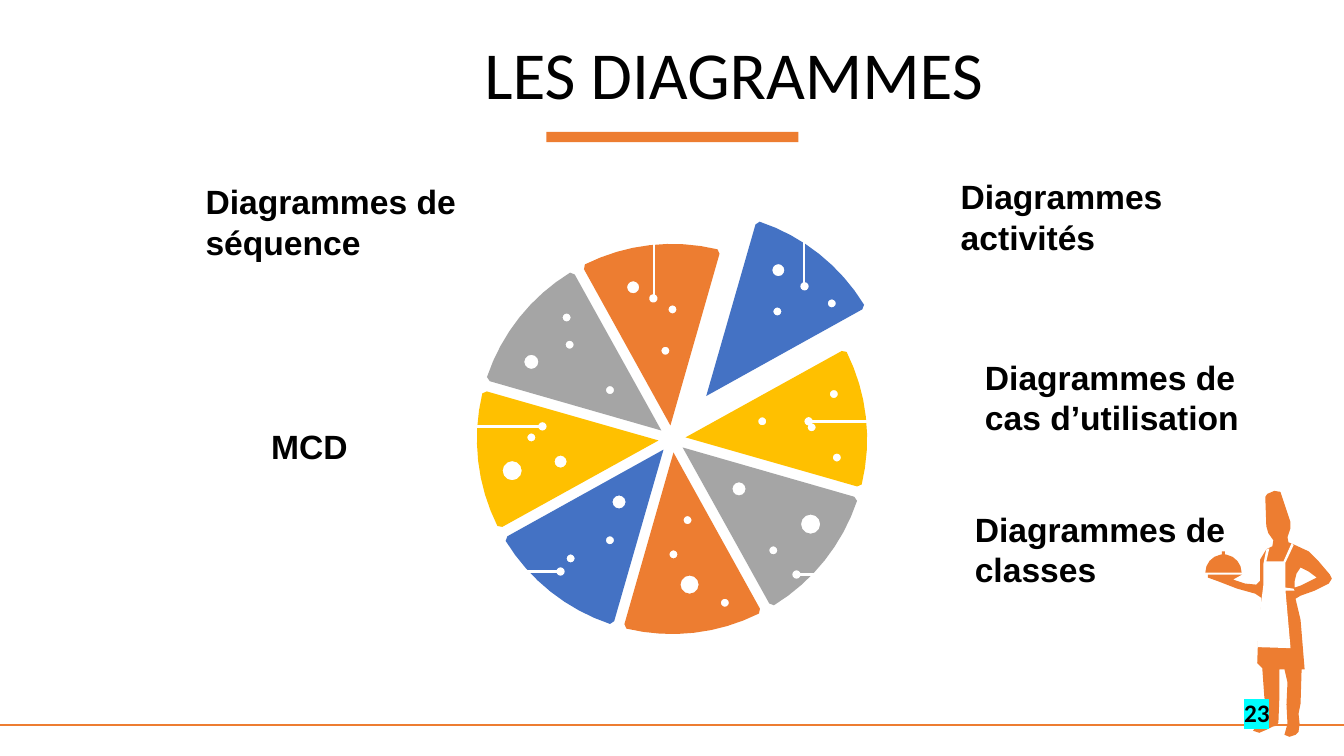
import math

import lxml.etree
import pptx
import pptx.dml.color
import pptx.enum.shapes
import pptx.enum.text
import pptx.oxml.ns
import pptx.util

Inches = pptx.util.Inches
Pt = pptx.util.Pt
Link = pptx.enum.shapes.MSO_CONNECTOR
qn = pptx.oxml.ns.qn

HUES = {"orange": "ED7D31", "blue": "4472C4", "gold": "FFC000", "gray": "A5A5A5",
        "white": "FFFFFF", "black": "000000", "cyan": "00FFFF"}

# Pie: centre, radius, distance of each tip from the centre
MID_X, MID_Y, RADIUS, GAP = 6.665, 4.355, 1.935, 0.135
TOP_ANGLE, STEP = 96.5, 45
CYCLE = ["orange", "blue", "gold", "gray"]
PULLED, PULL = 1, 0.41

# Holes of each slice, clockwise from the top: centre and diameter
HOLES = [
    [(6.67, 3.07, 0.08), (6.6, 3.48, 0.08), (6.28, 2.85, 0.12)],
    [(7.71, 3.09, 0.08), (8.25, 3.01, 0.08), (7.72, 2.68, 0.12)],
    [(7.56, 4.18, 0.08), (8.05, 4.24, 0.08), (8.27, 3.91, 0.08), (8.3, 4.54, 0.08)],
    [(7.33, 4.85, 0.13), (7.67, 5.46, 0.08), (8.04, 5.2, 0.19)],
    [(6.82, 5.16, 0.08), (6.68, 5.5, 0.08), (6.84, 5.8, 0.18), (7.19, 5.98, 0.08)],
    [(5.66, 5.54, 0.08), (6.05, 5.36, 0.08), (6.14, 4.98, 0.13)],
    [(5.56, 4.58, 0.12), (5.27, 4.34, 0.08), (5.08, 4.67, 0.19)],
    [(6.05, 3.87, 0.08), (5.65, 3.42, 0.08), (5.62, 3.15, 0.08), (5.27, 3.59, 0.14)],
]

# Start, end, bend position
LEADS = [
    ((5.18, 2.17), (6.48, 2.96), 1.007),
    ((9.28, 2.05), (7.98, 2.84), 1.002),
    ((3.73, 3.99), (5.38, 4.23), 0.5),
    ((5.56, 5.67), (3.91, 5.9), 0.5),
    ((9.67, 3.95), (8.02, 4.18), 0.5),
    ((9.55, 5.47), (7.9, 5.7), 0.5),
]

LABELS = [
    ("Diagrammes activités", 9.43, 1.7, 2.59, 0.91),
    ("Diagrammes de cas d’utilisation", 9.67, 3.49, 3.25, 0.91),
    ("Diagrammes de classes", 9.57, 5, 3.25, 0.91),
    ("Diagrammes de séquence", 1.94, 1.75, 3.25, 0.91),
    ("MCD", 2.59, 4.18, 1.46, 0.5),
]

BODY = [
    (11.98, 5.7), (12.32, 5.7), (12.23, 5.75), (12.35, 5.79), (12.46, 5.8),
    (12.5, 5.76), (12.5, 5.55), (12.56, 5.45), (12.62, 5.42), (12.63, 5.36),
    (12.58, 5.29), (12.56, 5.22), (12.55, 4.93), (12.57, 4.9),
    (12.64, 4.87), (12.7, 4.88), (12.73, 4.97), (12.76, 5.06), (12.8, 5.18),
    (12.8, 5.24), (12.77, 5.33), (12.78, 5.38), (12.85, 5.41), (12.98, 5.47),
    (13.08, 5.57), (13.19, 5.7), (13.21, 5.74), (13.18, 5.79), (13.04, 5.86),
    (12.9, 5.91), (12.85, 5.94), (12.9, 6.15), (12.94, 6.64),
    (12.91, 6.64), (12.9, 6.98), (12.88, 7.08), (12.89, 7.18), (12.88, 7.26),
    (12.85, 7.29), (12.79, 7.31), (12.74, 7.29), (12.77, 7.18), (12.76, 6.99),
    (12.77, 6.77), (12.74, 6.64), (12.69, 6.64), (12.69, 6.91),
    (12.68, 7.17), (12.66, 7.2), (12.62, 7.21), (12.56, 7.24),
    (12.49, 7.27), (12.43, 7.25), (12.46, 7.2), (12.54, 7.13), (12.56, 7.05),
    (12.54, 6.91), (12.52, 6.63), (12.47, 6.58), (12.48, 6.3), (12.51, 6),
    (12.51, 5.93), (12.45, 5.89), (12.27, 5.84), (12.09, 5.77), (11.98, 5.73),
]
ELBOW = [(12.84, 5.83), (12.9, 5.81), (13.06, 5.73), (12.98, 5.67), (12.9, 5.63),
         (12.86, 5.69), (12.84, 5.77)]
APRON = [(12.81, 5.39), (12.73, 5.57), (12.56, 5.57), (12.59, 5.44), (12.56, 5.45),
         (12.53, 5.6), (12.53, 5.81), (12.48, 6.2), (12.47, 6.42), (12.8, 6.43),
         (12.75, 5.86), (12.84, 5.86), (12.83, 5.84), (12.75, 5.83), (12.75, 5.58),
         (12.83, 5.41)]
KNOB = [(12.15, 5.5), (12.15, 5.47), (12.12, 5.47), (12.12, 5.5)]


def rgb(name):
    return pptx.dml.color.RGBColor.from_string(HUES[name])


def paint(shape, hue):
    shape.shadow.inherit = False
    shape.fill.solid()
    shape.fill.fore_color.rgb = rgb(hue)
    shape.line.fill.background()


def outline(slide, points, hue, holes=()):
    """Draw a filled outline, with holes cut out of it."""
    pen = slide.shapes.build_freeform(*map(Inches, points[0]))
    for ring in (points, *holes):
        first, *rest = [(Inches(x), Inches(y)) for x, y in ring]
        if ring is not points:
            pen.move_to(*first)
        pen.add_line_segments(rest, close=True)
    paint(pen.convert_to_shape(), hue)


def polar(x, y, reach, angle):
    turn = math.radians(angle)
    return x + reach * math.cos(turn), y - reach * math.sin(turn)


def ring(x, y, size):
    return [polar(x, y, size / 2, 30 * n) for n in range(12)]


def wedge(slide, index, holes):
    """Draw one slice, clockwise from the top, with softened corners."""
    angle = TOP_ANGLE - STEP * index
    x, y = polar(MID_X, MID_Y, PULL if index == PULLED else 0, angle)
    arc = [polar(x, y, RADIUS, angle + 20 - 5 * n) for n in range(9)]
    sides = [polar(x, y, RADIUS * 0.98, angle + turn) for turn in (20.9, -20.9)]
    points = [polar(x, y, GAP, angle), sides[0], *arc, sides[1]]
    outline(slide, points, CYCLE[index % len(CYCLE)], [ring(*hole) for hole in holes])


def line(slide, kind, start, end, hue, width):
    link = slide.shapes.add_connector(kind, *map(Inches, start + end))
    link.line.color.rgb = rgb(hue)
    link.line.width = Pt(width)
    lxml.etree.SubElement(link._element.spPr, qn("a:effectLst"))
    return link


def lead(slide, start, end, bend):
    """Draw an elbow line with round ends."""
    link = line(slide, Link.ELBOW, start, end, "white", 1.75)
    geom = link._element.spPr.find(qn("a:prstGeom"))
    guides = geom.find(qn("a:avLst"))
    if guides is None:
        guides = lxml.etree.SubElement(geom, qn("a:avLst"))
    lxml.etree.SubElement(guides, qn("a:gd"), name="adj1",
                          fmla=f"val {round(bend * 100000)}")
    stroke = link.line._get_or_add_ln()
    for tag in ("a:headEnd", "a:tailEnd"):
        lxml.etree.SubElement(stroke, qn(tag), type="oval")


def text(slide, words, box, form, align="LEFT", anchor="TOP"):
    frame = slide.shapes.add_textbox(*map(Inches, box)).text_frame
    frame.word_wrap = True
    frame.vertical_anchor = getattr(pptx.enum.text.MSO_ANCHOR, anchor)
    para = frame.paragraphs[0]
    para.alignment = getattr(pptx.enum.text.PP_ALIGN, align)
    run = para.add_run()
    run.text = words
    for key, value in form.items():
        setattr(run.font, key, value)
    run.font.color.rgb = rgb("black")
    return run


def mark(run, hue):
    """Highlight a run of text."""
    light = lxml.etree.Element(qn("a:highlight"))
    lxml.etree.SubElement(light, qn("a:srgbClr"), val=HUES[hue])
    run.font._element.find(qn("a:solidFill")).addnext(light)


def chef(slide):
    outline(slide, BODY, "orange", [ELBOW])
    outline(slide, APRON, "white")
    dome = [polar(12.135, 5.68, 0.18, 20 * n) for n in range(10)]
    outline(slide, dome[:5] + KNOB + dome[5:], "orange")


def main():
    deck = pptx.Presentation()
    deck.slide_width, deck.slide_height = Inches(13.33), Inches(7.5)
    slide = deck.slides.add_slide(deck.slide_layouts[6])

    bar = slide.shapes.add_shape(pptx.enum.shapes.MSO_SHAPE.RECTANGLE,
                                 *map(Inches, (5.42, 1.31, 2.5, 0.1)))
    paint(bar, "orange")
    line(slide, Link.STRAIGHT, (0, 7.19), (13.33, 7.19), "orange", 1.5)
    chef(slide)
    for index, holes in enumerate(HOLES):
        wedge(slide, index, holes)
    for start, end, bend in LEADS:
        lead(slide, start, end, bend)

    text(slide, "LES DIAGRAMMES", (1.63, 0.14, 8.22, 1.16),
         {"name": "Calibri", "size": Pt(48)}, "RIGHT", "MIDDLE")
    for words, *box in LABELS:
        text(slide, words, box, {"name": "Arial", "size": Pt(24), "bold": True})
    page = text(slide, "23", (12.24, 6.87, 0.54, 0.4),
                {"name": "Calibri", "size": Pt(18), "bold": True})
    mark(page, "cyan")
    deck.save("out.pptx")


if __name__ == "__main__":
    main()
